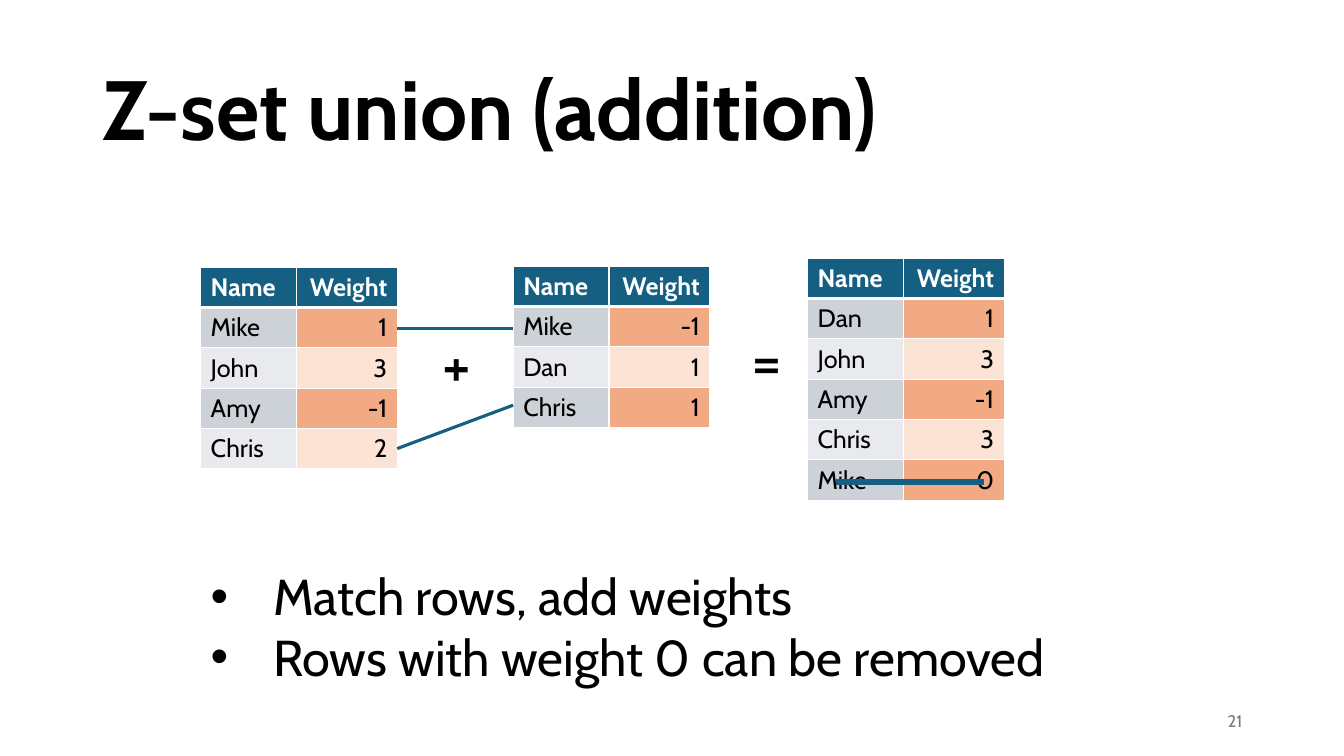
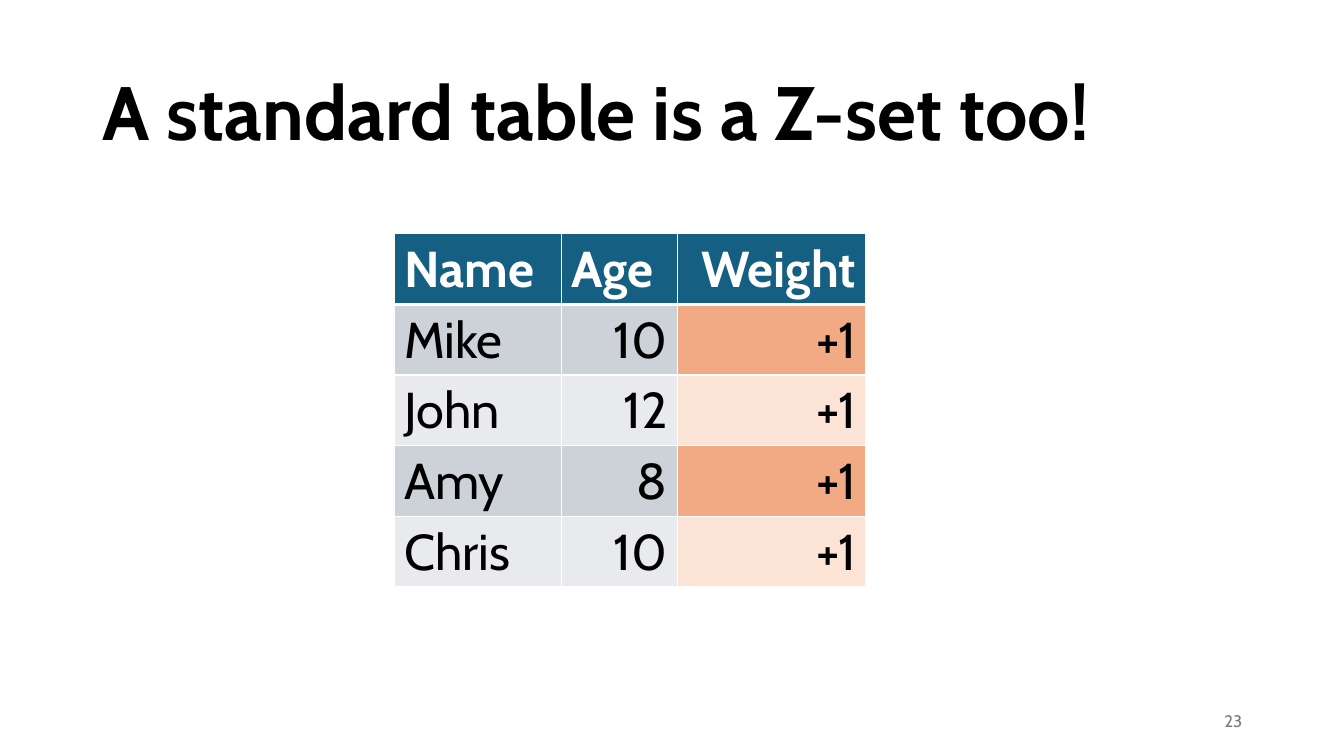
import pptx
import pptx.dml.color
import pptx.enum.shapes
import pptx.enum.text
import pptx.oxml
import pptx.oxml.ns
import pptx.util

PX = 9144  # EMU per px, 100 px to the inch
COLORS = {
    "ink": "000000", "paper": "FFFFFF", "muted": "797979", "accent": "156082",
    "gray": "CCD2D8", "gray_light": "E8EAED",
    "orange": "F2AA84", "orange_light": "FBE3D6",
}
ALIGN = pptx.enum.text.PP_ALIGN
ANCHOR = pptx.enum.text.MSO_ANCHOR


def px(*lengths):
    return [pptx.util.Emu(n * PX) for n in lengths]


def rgb(name):
    return pptx.dml.color.RGBColor.from_string(COLORS[name])


def add_xml(parent, tag, body="", attrs=""):
    xml = f'<a:{tag} {pptx.oxml.ns.nsdecls("a")} {attrs}>{body}</a:{tag}>'
    parent.append(pptx.oxml.parse_xml(xml))


class Deck:
    font = "Cabin"

    def __init__(self, width, height):
        self.prs = pptx.Presentation()
        self.prs.slide_width, self.prs.slide_height = px(width, height)
        self.s = None

    def slide(self, title, size, top, number):
        self.s = self.prs.slides.add_slide(self.prs.slide_layouts[6])
        self.text([title], 92, top, 1150, 145, size, bold=True,
                  anchor=ANCHOR.MIDDLE, line_spacing=0.9)
        self.text([number], 942, 695, 300, 40, 12, "muted",
                  anchor=ANCHOR.MIDDLE, alignment=ALIGN.RIGHT)

    def add_run(self, p, text, size, color="ink", bold=False, **para):
        for name, value in para.items():
            setattr(p, name, value)
        r = p.add_run()
        r.text = text
        style = {"name": self.font, "size": pptx.util.Pt(size), "bold": bold}
        for name, value in style.items():
            setattr(r.font, name, value)
        r.font.color.rgb = rgb(color)

    def text(self, lines, left, top, width, height, size, color="ink", bold=False,
             anchor=ANCHOR.TOP, wrap=True, indent=0, **para):
        """Add a text box; an indent turns its lines into bullets."""
        tf = self.s.shapes.add_textbox(*px(left, top, width, height)).text_frame
        tf.word_wrap, tf.vertical_anchor = wrap, anchor
        for i, line in enumerate(lines):
            p = tf.add_paragraph() if i else tf.paragraphs[0]
            if indent:
                pPr = p._p.get_or_add_pPr()
                pPr.set("marL", str(indent * PX))
                pPr.set("indent", str(-indent * PX))
                add_xml(pPr, "buFont", attrs='typeface="Arial"')
                add_xml(pPr, "buChar", attrs='char="•"')
            self.add_run(p, line, size, color, bold, **para)

    def line(self, x1, y1, x2, y2, weight=2.25):
        kind = pptx.enum.shapes.MSO_CONNECTOR.STRAIGHT
        c = self.s.shapes.add_connector(kind, *px(x1, y1, x2, y2))
        c.line.color.rgb = rgb("accent")
        c.line.width = pptx.util.Pt(weight)
        add_xml(c._element.spPr, "effectLst")

    def borders(self, cell, row):
        """White rules, thicker between the header and the first row."""
        thick = {0: "B", 1: "T"}.get(row)
        fill = f'<a:solidFill><a:srgbClr val="{COLORS["paper"]}"/></a:solidFill>'
        for side in "LRTB":
            width = pptx.util.Pt(3 if side == thick else 1)
            add_xml(cell._tc.get_or_add_tcPr(), f"ln{side}", fill, f'w="{width}"')

    def table(self, rows, left, top, widths, row_height, size):
        """Add a table whose last column, the weight, is orange."""
        frame = self.s.shapes.add_table(
            len(rows), len(widths),
            *px(left, top, sum(widths), row_height * len(rows)))
        table = frame.table
        table.horz_banding = False
        for column, width in zip(table.columns, px(*widths)):
            column.width = width
        for i, row in enumerate(rows):
            for j, value in enumerate(row):
                cell = table.cell(i, j)
                header, weight = i == 0, j == len(row) - 1
                fill = "accent" if header else (
                    ("orange" if weight else "gray") + ("" if i % 2 else "_light"))
                self.borders(cell, i)
                cell.fill.solid()
                cell.fill.fore_color.rgb = rgb(fill)
                right = weight or (j and not header)
                self.add_run(cell.text_frame.paragraphs[0], value, size,
                             "paper" if header else "ink", header,
                             alignment=ALIGN.RIGHT if right else ALIGN.LEFT)


def union_slide(deck):
    deck.slide("Z-set union (addition)", 60, 40, "21")
    tables = [
        (199, 265, [("Mike", "1"), ("John", "3"), ("Amy", "-1"), ("Chris", "2")]),
        (509, 264, [("Mike", "-1"), ("Dan", "1"), ("Chris", "1")]),
        (801, 256, [("Dan", "1"), ("John", "3"), ("Amy", "-1"), ("Chris", "3"),
                    ("Mike", "0")]),
    ]
    for left, top, rows in tables:
        deck.table([("Name", "Weight")] + rows, left, top, [95, 100], 40, 18)
    deck.text(["+"], 429, 318, 70, 84, 44)
    deck.text(["="], 736, 314, 51, 84, 44, wrap=False)
    deck.line(394, 326, 509, 326)
    deck.line(394, 445, 509, 402)
    deck.text(["Match rows, add weights", "Rows with weight 0 can be removed"],
              199, 556, 875, 131, 36, indent=62)
    deck.line(829, 478, 976, 478, 4.5)


def standard_table_slide(deck):
    deck.slide("A standard table is a Z-set too!", 54, 43, "23")
    people = [("Mike", "10"), ("John", "12"), ("Amy", "8"), ("Chris", "10")]
    rows = [("Name", "Age", "Weight")] + [(*person, "+1") for person in people]
    deck.table(rows, 391, 232, [166, 115, 187], 70, 36)


def main():
    deck = Deck(1333, 750)
    union_slide(deck)
    standard_table_slide(deck)
    deck.prs.save("out.pptx")


if __name__ == "__main__":
    main()
